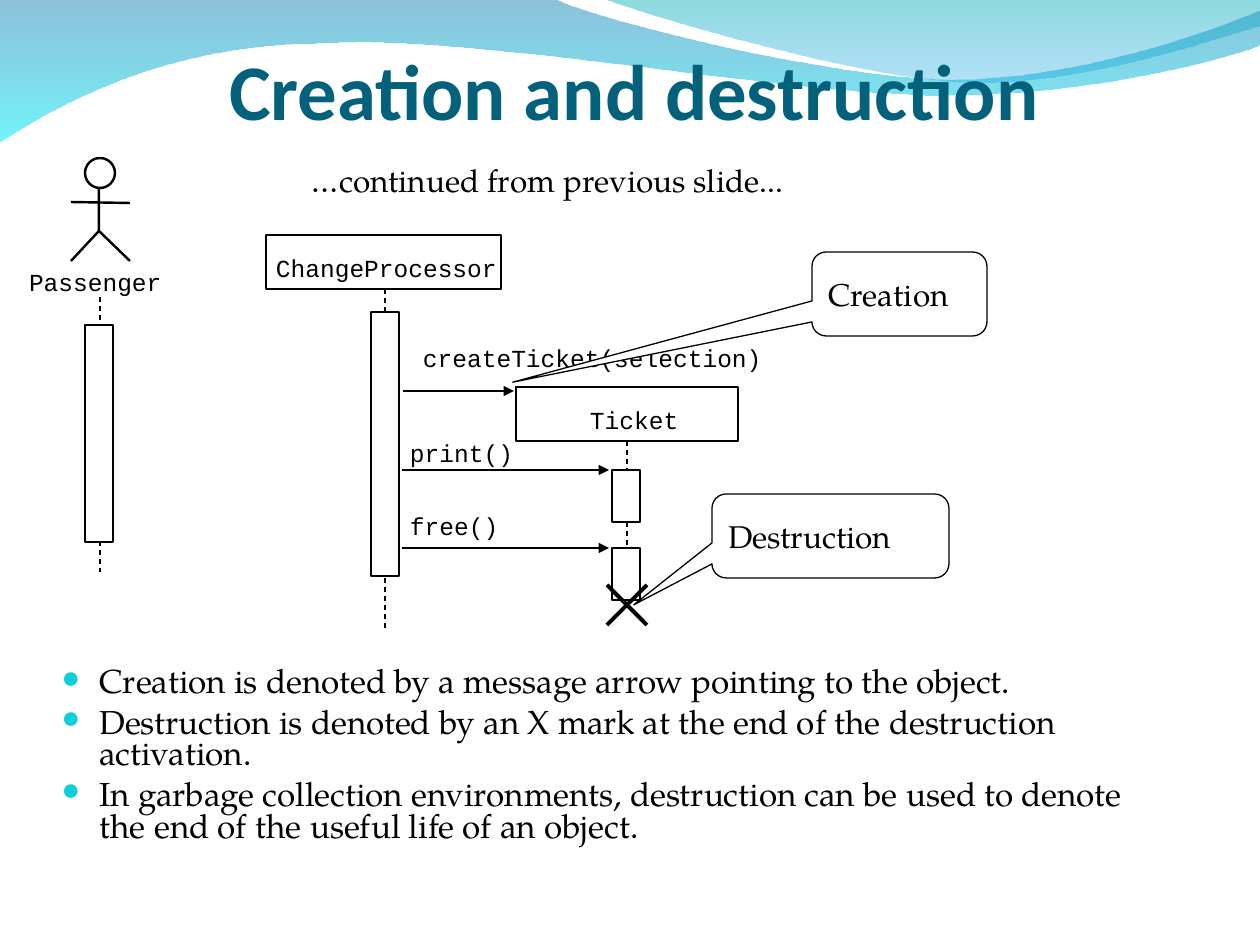
from lxml.etree import SubElement
from pptx import Presentation
from pptx.dml.color import RGBColor
from pptx.enum.dml import MSO_LINE_DASH_STYLE as Dash
from pptx.enum.shapes import MSO_CONNECTOR as Connector, MSO_SHAPE as Preset
from pptx.enum.text import MSO_ANCHOR as Anchor, MSO_AUTO_SIZE as AutoSize, PP_ALIGN as Align
from pptx.oxml import parse_xml
from pptx.oxml.ns import nsdecls, qn
from pptx.util import Pt

PX = 914400 / 126
COLORS = {"ink": "000000", "paper": "FFFFFF", "title": "04617B", "bullet": "0BD0D9"}
SERIF, MONO, SANS = "TeX Gyre Pagella", "Courier New", "Calibri"
THIN, MEDIUM, THICK = 0.75, 1.39, 2.25

WAVES = [
    ((0, -1),
     [[(554, -1)], [(600, 21), (837, 79), (955, 79)], [(1075, 79), (1207, 33), (1260, 11)],
      [(1261, 45)], [(1239, 55), (1096, 96), (940, 95)], [(784, 95), (481, 35), (324, 43)],
      [(163, 44), (58, 105), (-1, 142)]],
     [(0, "0079AF", 45), (100, "00EBF8", 55)]),
    ((604, -1),
     [[(641, 14), (859, 78), (969, 82)], [(1079, 86), (1211, 40), (1260, 26)], [(1260, 0)]],
     [(0, "00ADB6", 45), (100, "009BE5", 30)]),
]
BULLETS = [
    "Creation is denoted by a message arrow pointing to the object.",
    "Destruction is denoted by an X mark at the end of the destruction activation.",
    "In garbage collection environments, destruction can be used to denote the end of the useful life of an object.",
]


def emu(*lengths):
    """Turn px lengths into EMU."""
    return [round(length * PX) for length in lengths]


def rgb(name):
    """Look up a named colour."""
    return RGBColor.from_string(COLORS[name])


def style_font(paragraph, size, name, color="ink", bold=False):
    """Set the font of a whole paragraph."""
    font = paragraph.font
    font.size, font.name, font.bold = Pt(size), name, bold
    font.color.rgb = rgb(color)


def set_margins(frame, left=0, top=0, right=0, bottom=0):
    """Set the four insets of a text frame in px."""
    frame.margin_left, frame.margin_top, frame.margin_right, frame.margin_bottom = emu(
        left, top, right, bottom)


def add_outline(slide, points, close):
    """Draw a freeform through px points."""
    builder = slide.shapes.build_freeform(*emu(*points[0]))
    builder.add_line_segments([emu(*point) for point in points[1:]], close=close)
    shape = builder.convert_to_shape()
    shape.shadow.inherit = False
    return shape


def bend_segments(shape, segments):
    """Join each run of three control points into one cubic curve."""
    lines = list(shape._element.iter(qn("a:lnTo")))
    for segment in segments:
        group, lines = lines[:len(segment)], lines[len(segment):]
        if len(group) == 3:
            curve = parse_xml(f'<a:cubicBezTo {nsdecls("a")}/>')
            group[0].addprevious(curve)
            for line in group:
                curve.append(line[0])
                line.getparent().remove(line)


def add_wave(slide, start, segments, stops):
    """Draw a curved band with a translucent vertical gradient."""
    points = [start] + [point for segment in segments for point in segment]
    shape = add_outline(slide, points, True)
    bend_segments(shape, segments)
    shape.line.fill.background()
    stop_xml = "".join(
        f'<a:gs pos="{position * 1000}"><a:srgbClr val="{color}">'
        f'<a:alpha val="{alpha * 1000}"/></a:srgbClr></a:gs>' for position, color, alpha in stops)
    gradient = parse_xml(f'<a:gradFill {nsdecls("a")}><a:gsLst>{stop_xml}</a:gsLst>'
                         '<a:lin ang="5400000" scaled="0"/></a:gradFill>')
    shape._element.spPr.find(qn("a:custGeom")).addnext(gradient)


def format_title(slide, text):
    """Place the title above the waves and format it."""
    title = slide.shapes.title
    title._element.getparent().append(title._element)
    title.left, title.top, title.width, title.height = emu(52, 32, 1164, 104)
    frame = title.text_frame
    frame.text, frame.auto_size, frame.vertical_anchor = text, AutoSize.NONE, Anchor.BOTTOM
    set_margins(frame, top=6)
    frame.paragraphs[0].alignment = Align.CENTER
    style_font(frame.paragraphs[0], 45, SANS, "title", True)


def add_bullets(slide, box, texts):
    """Write a bulleted list with a hanging indent."""
    frame = slide.shapes.add_textbox(*emu(*box)).text_frame
    frame.word_wrap = True
    indent, = emu(38)
    for index, text in enumerate(texts):
        paragraph = frame.add_paragraph() if index else frame.paragraphs[0]
        paragraph.text, paragraph.line_spacing = text, 0.8
        paragraph.space_before = Pt(4.8 if index else 0)
        properties = paragraph._p.get_or_add_pPr()
        properties.set("marL", str(indent))
        properties.set("indent", str(-indent))
        color = SubElement(properties, qn("a:buClr"))
        SubElement(color, qn("a:srgbClr"), val=COLORS["bullet"])
        SubElement(properties, qn("a:buSzPct"), val="95000")
        SubElement(properties, qn("a:buFont"), typeface=MONO)
        SubElement(properties, qn("a:buChar"), char="●")
        style_font(paragraph, 19, SERIF)


def add_label(slide, left, top, text):
    """Write one line of code text in a box that fits its characters."""
    width = 15 * len(text)
    frame = slide.shapes.add_textbox(*emu(left, top, width, 29)).text_frame
    frame.text, frame.word_wrap, frame.auto_size = text, False, AutoSize.SHAPE_TO_FIT_TEXT
    set_margins(frame)
    style_font(frame.paragraphs[0], 14, MONO)


def add_box(slide, box, preset=Preset.RECTANGLE, weight=MEDIUM):
    """Draw a white shape with a black outline."""
    shape = slide.shapes.add_shape(preset, *emu(*box))
    shape.shadow.inherit = False
    shape.fill.solid()
    shape.fill.fore_color.rgb = rgb("paper")
    shape.line.color.rgb, shape.line.width = rgb("ink"), Pt(weight)
    return shape


def add_line(slide, start, end, weight=MEDIUM, dashed=False, arrow=False):
    """Draw a straight line, optionally dashed or with an arrowhead."""
    line = slide.shapes.add_connector(Connector.STRAIGHT, *emu(*start, *end))
    line.line.color.rgb, line.line.width = rgb("ink"), Pt(weight)
    if dashed:
        line.line.dash_style = Dash.DASH
    if arrow:
        SubElement(line.line._get_or_add_ln(), qn("a:tailEnd"), type="triangle")
    SubElement(line._element.spPr, qn("a:effectLst"))


def add_lifeline(slide, x, top, bottom):
    """Draw a dashed vertical lifeline."""
    add_line(slide, (x, top), (x, bottom), THIN, dashed=True)


def add_serif_text(shape, text, wrap):
    """Write left-aligned serif text in the middle of a shape."""
    frame = shape.text_frame
    frame.text, frame.word_wrap, frame.vertical_anchor = text, wrap, Anchor.MIDDLE
    set_margins(frame, 12, 6, 12, 6)
    frame.paragraphs[0].alignment = Align.LEFT
    style_font(frame.paragraphs[0], 18, SERIF)


def add_callout(slide, box, pointer, text):
    """Draw a rounded callout with its pointer given as box fractions."""
    shape = add_box(slide, box, Preset.ROUNDED_RECTANGULAR_CALLOUT, THIN)
    for index, value in enumerate((*pointer, 0.17)):
        shape.adjustments[index] = value
    add_serif_text(shape, text, False)


def add_actor(slide):
    """Draw the passenger stick figure with its name."""
    hip = (99, 231)
    body = add_outline(slide, [(99, 179), hip, (71, 261)], False)
    body.fill.background()
    body.line.color.rgb, body.line.width = rgb("ink"), Pt(MEDIUM)
    add_line(slide, hip, (130, 261))
    add_line(slide, (71, 202), (130, 203))
    add_box(slide, (85, 158, 30, 30), Preset.OVAL)
    add_label(slide, 29, 267, "Passenger")


def add_message(slide, y, label_top, text):
    """Draw a call from the processor to an activation of the ticket."""
    add_box(slide, (612, y, 28, 52))
    add_line(slide, (402, y), (609, y), arrow=True)
    add_label(slide, 410, label_top, text)


def add_cross(slide, left, top, size):
    """Draw the destruction mark."""
    right, bottom = left + size, top + size
    add_line(slide, (left, bottom), (right, top), THICK)
    add_line(slide, (right, bottom), (left, top), THICK)


def main():
    """Build the slide and save it."""
    presentation = Presentation()
    presentation.slide_width, presentation.slide_height = emu(1260, 945)
    slide = presentation.slides.add_slide(presentation.slide_layouts[5])
    for wave in WAVES:
        add_wave(slide, *wave)
    format_title(slide, "Creation and destruction")
    add_bullets(slide, (49, 662, 1138, 194), BULLETS)
    add_lifeline(slide, 100, 297, 572)
    add_actor(slide)
    add_box(slide, (85, 325, 28, 217))
    add_box(slide, (266, 235, 235, 54))
    add_label(slide, 276, 253, "ChangeProcessor")
    add_lifeline(slide, 385, 289, 631)
    continued = add_box(slide, (300, 155, 784, 50))
    continued.line.fill.background()
    add_serif_text(continued, "…continued from previous slide...", True)
    add_box(slide, (371, 312, 28, 264))
    add_box(slide, (516, 387, 222, 54))
    add_label(slide, 590, 405, "Ticket")
    add_lifeline(slide, 627, 441, 602)
    add_line(slide, (403, 391), (514, 391), arrow=True)
    add_label(slide, 423, 343, "createTicket(selection)")
    add_message(slide, 548, 511, "free()")
    add_callout(slide, (812, 252, 175, 84), (-2.21, 1.05), "Creation")
    add_callout(slide, (712, 494, 237, 84), (-0.83, 0.82), "Destruction")
    add_message(slide, 470, 438, "print()")
    add_cross(slide, 607, 585, 40)
    presentation.save("out.pptx")


if __name__ == "__main__":
    main()
